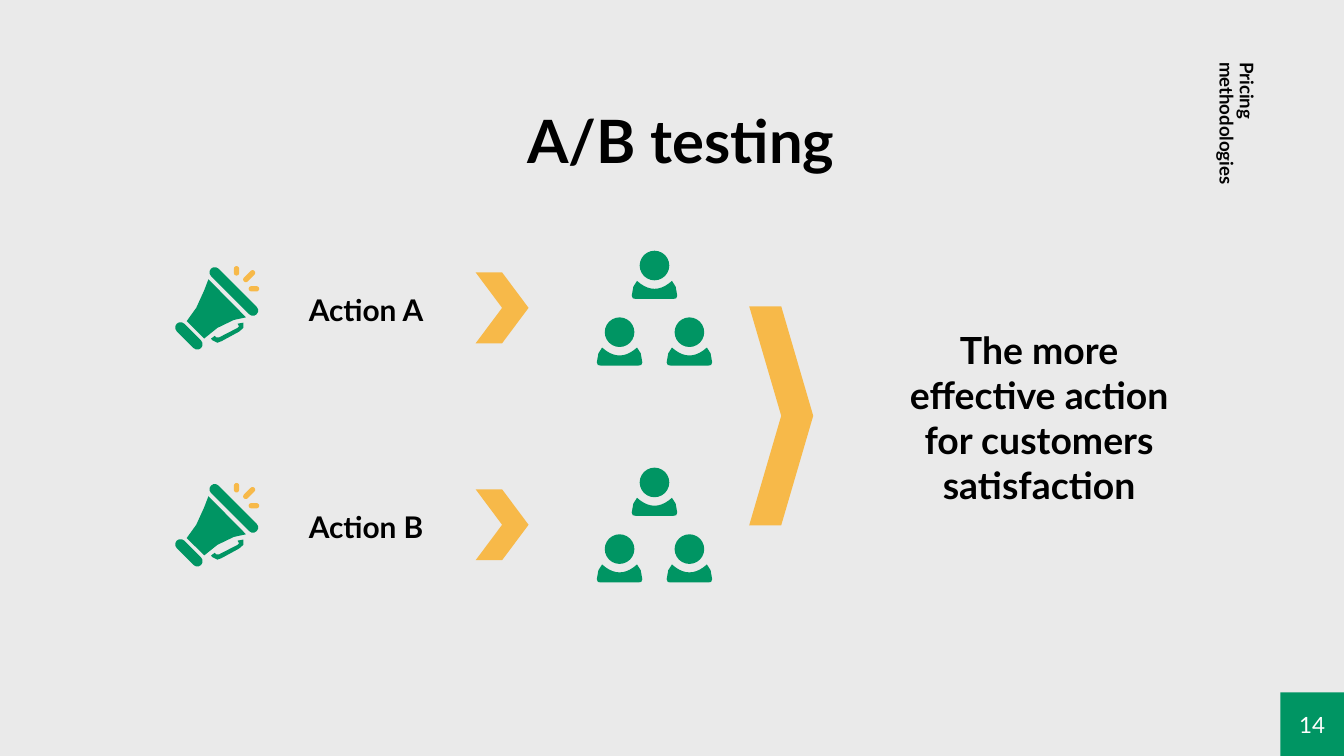
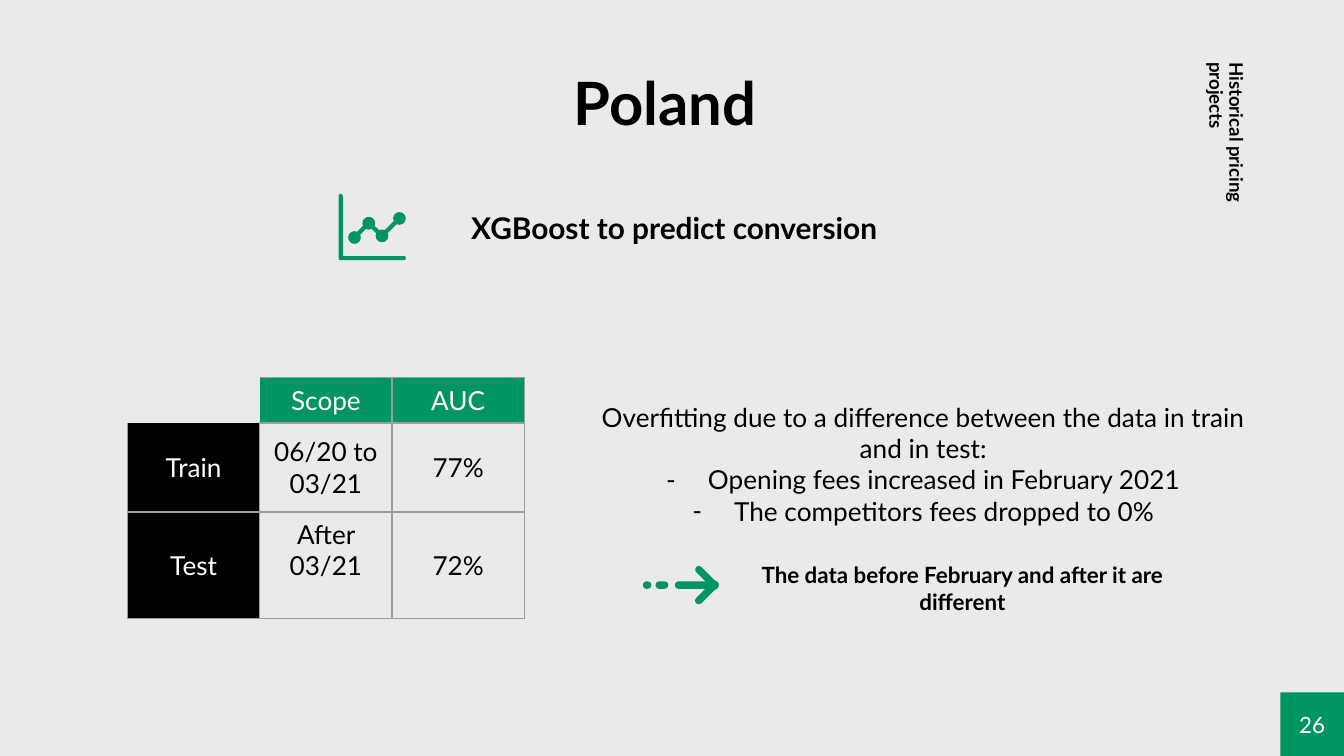
from math import asin, atan2, cos, pi, sin

from lxml.etree import SubElement as Sub
from pptx import Presentation
from pptx.dml.color import RGBColor as Rgb
from pptx.enum.shapes import MSO_SHAPE as Kind
from pptx.enum.text import MSO_ANCHOR as Anchor, MSO_AUTO_SIZE as Auto, PP_ALIGN as Align
from pptx.oxml.ns import qn
from pptx.util import Cm, Pt

WIDE, HIGH = 25.4, 14.29
FONT = "Lato"
INK = {
    "back": "EAEAEA", "green": "009563", "gold": "F7B949", "black": "000000",
    "side": "030303", "white": "FFFFFF", "grid": "9E9E9E",
}
SIDES = ("left", "right", "top", "bottom")

# Text formats: run font, paragraph and frame values
BASE = {"word_wrap": True, "auto_size": Auto.NONE, "vertical_anchor": Anchor.TOP}
FLUSH = {"pad": (0, 0, 0.25, 0.25)}
TITLE = {"size": 32, "bold": True, "pad": (0, 0.25, 0.25, 0.25)}
LABEL = {"size": 16, "bold": True, **FLUSH}
CLAIM = {"size": 20, "bold": True, **FLUSH}
CLOSE = {"size": 12, "bold": True, **FLUSH}
NOTE = {"size": 14, "pad": (0.25, 0.25, 0.13, 0.13)}
SIDE = {"size": 10, "bold": True, "ink": "side", "pad": (0.25,) * 4,
        "para": {"alignment": Align.LEFT, "line_spacing": 0.9}}
BADGE = {"size": 12, "ink": "white", "pad": (0.25,) * 4,
         "frame": {"vertical_anchor": Anchor.MIDDLE}}


def put(item, vals):
    for name, val in vals.items():
        setattr(item, name, val)


def color(name):
    return Rgb.from_string(INK[name])


def dash(para):
    """Turn a paragraph into a dashed list item."""
    props = para._p.get_or_add_pPr()
    for name, val in {"marL": Cm(0.79), "indent": -Cm(0.79)}.items():
        props.set(name, str(val))
    Sub(Sub(props, qn("a:buClr")), qn("a:srgbClr")).set("val", INK["black"])
    Sub(props, qn("a:buFont")).set("typeface", FONT)
    Sub(props, qn("a:buChar")).set("char", "-")


def style(para, line, form):
    run = para.add_run()
    run.text = line
    put(run.font, {"name": FONT, "size": Pt(form["size"]), "bold": form.get("bold", False)})
    run.font.color.rgb = color(form.get("ink", "black"))


def write(frame, lines, form):
    """Fill a text frame; lines that follow the first are list items."""
    put(frame, {**BASE, **form.get("frame", {})})
    put(frame, {f"margin_{s}": Cm(v) for s, v in zip(SIDES, form["pad"])})
    for n, line in enumerate(lines):
        para = frame.add_paragraph() if n else frame.paragraphs[0]
        put(para, {"alignment": Align.CENTER, **form.get("para", {})})
        if n:
            dash(para)
        style(para, line, form)


def text(slide, box, lines, form):
    area = slide.shapes.add_textbox(*map(Cm, box))
    write(area.text_frame, lines, form)
    return area


# Drawing parts
def paint(shape, ink):
    shape.shadow.inherit = False
    shape.fill.solid()
    shape.fill.fore_color.rgb = color(ink)
    shape.line.fill.background()
    return shape


def block(host, kind, box, ink):
    return paint(host.shapes.add_shape(kind, *map(Cm, box)), ink)


def pill(host, at, mid, long, thick, turn, ink="green"):
    """Rounded bar around a centre point, turned by some degrees."""
    box = (at[0] + mid[0] - long / 2, at[1] + mid[1] - thick / 2, long, thick)
    bar = block(host, Kind.ROUNDED_RECTANGLE, box, ink)
    bar.adjustments[0] = 0.5
    bar.rotation = turn


def outline(host, at, dots, ink="green"):
    dots = [(Cm(at[0] + x), Cm(at[1] + y)) for x, y in dots]
    path = host.shapes.build_freeform(*dots[0], scale=1.0)
    path.add_line_segments(dots[1:], close=True)
    paint(path.convert_to_shape(), ink)


def beads(dots, size, half):
    """Outline of round dots joined by bars, walked there and back."""
    tour = dots + dots[-2:0:-1]
    gap, edge = asin(half / size), []
    for n, (x, y) in enumerate(tour):
        back, ahead = (atan2(v - y, u - x) for u, v in
                       (tour[n - 1], tour[(n + 1) % len(tour)]))
        sweep = ((ahead - back) % (2 * pi) or 2 * pi) - 2 * gap
        turns = [back + gap + sweep * k / 12 for k in range(13)]
        edge += [(x + size * cos(t), y + size * sin(t)) for t in turns]
    return edge


# Icons
HORN = [(0.64, 0.25), (0.56, 0.46), (0.41, 0.79), (0.23, 1.04),
        (0.56, 1.37), (0.81, 1.17), (1.12, 1.02), (1.35, 0.97)]
GRIP = [(1.3, 1.07), (1.19, 1.09), (1.22, 1.14), (1.19, 1.17), (0.84, 1.35),
        (0.79, 1.35), (0.76, 1.32), (0.69, 1.37), (0.71, 1.4), (0.81, 1.45),
        (0.89, 1.42), (1.22, 1.24), (1.3, 1.17)]
BUST = [(0.03, 0.11), (0, 0.28), (0.02, 0.33), (0.07, 0.34),
        (0.79, 0.34), (0.84, 0.33), (0.86, 0.28), (0.83, 0.11)]
NECK = [(0.43 + 0.033 * n, 0.15 * (1 - (n / 10) ** 2)) for n in range(10, -11, -2)]
AXES = [(0.04, 0), (0.01, 0.02), (0, 0.04), (0, 1.22), (0.01, 1.25), (0.04, 1.26),
        (1.24, 1.26), (1.26, 1.25), (1.27, 1.22), (1.26, 1.19), (1.24, 1.18),
        (0.08, 1.18), (0.08, 0.04), (0.07, 0.02)]
TREND = [(0.3, 0.83), (0.57, 0.56), (0.82, 0.8), (1.15, 0.47)]


def horn(slide, at):
    icon = slide.shapes.add_group_shape()
    outline(icon, at, HORN)
    outline(icon, at, GRIP)
    pill(icon, at, (1.12, 0.48), 1.22, 0.2, 45)
    pill(icon, at, (0.27, 1.32), 0.65, 0.2, 45)
    for mid, long, turn in (((1.17, 0.09), 0.18, 90), ((1.41, 0.19), 0.28, -45),
                            ((1.5, 0.43), 0.2, 0)):
        pill(icon, at, mid, long, 0.1, turn, "gold")


def crowd(slide, at):
    icon = slide.shapes.add_group_shape()
    for dx, dy in ((0.66, 0), (0, 1.26), (1.32, 1.26)):
        x, y = at[0] + dx, at[1] + dy
        block(icon, Kind.OVAL, (x + 0.15, y, 0.56, 0.56), "green")
        outline(icon, (x, y + 0.57), BUST + NECK)


def graph(slide, at):
    icon = slide.shapes.add_group_shape()
    outline(icon, at, AXES)
    outline(icon, at, beads(TREND, 0.12, 0.04))


def arrow(slide, at):
    icon = slide.shapes.add_group_shape()
    for mid, long, turn in (((0.09, 0.36), 0.16, 0), ((0.37, 0.36), 0.24, 0),
                            ((1.02, 0.36), 0.81, 0), ((1.22, 0.22), 0.57, 45),
                            ((1.22, 0.5), 0.57, -45)):
        pill(icon, at, mid, long, 0.14, turn)


# Shared slide frame: title, page badge, side heading
def start(deck, title, box, page, topic, edge):
    slide = deck.slides.add_slide(deck.slide_layouts[5])
    head = slide.shapes.title
    put(head, dict(zip(("left", "top", "width", "height"), map(Cm, box))))
    write(head.text_frame, [title], TITLE)
    size = 1.2
    badge = block(slide, Kind.RECTANGLE, (WIDE - size, HIGH - size, size, size), "green")
    write(badge.text_frame, [page], BADGE)
    text(slide, edge, [topic], SIDE).rotation = 90
    return slide


# One tested action: horn, label, chevron, audience
def action(slide, x, y, name):
    text(slide, (x - 0.57, y + 0.54, 8.38, 1.12), [name], LABEL)
    horn(slide, (x, y + 0.31))
    block(slide, Kind.CHEVRON, (x + 5.69, y + 0.43, 1, 1.34), "gold")
    crowd(slide, (x + 7.98, y + 0.02))


# Score table
def rule(cell, side, shown):
    line = Sub(cell._tc.get_or_add_tcPr(), qn(f"a:ln{side}"))
    if shown:
        line.set("w", str(Pt(0.75)))
        Sub(Sub(line, qn("a:solidFill")), qn("a:srgbClr")).set("val", INK["grid"])
    else:
        line.set("w", "0")
        Sub(line, qn("a:noFill"))


def scores(slide, x, y):
    rows = [("", "Scope", "AUC"), ("Train", "06/20 to 03/21", "77%"),
            ("Test", "After 03/21", "72%")]
    highs, wide = (0.84, 1.68, 2.02), 2.5
    bare = {(0, 0): "LRTB", (0, 1): "L", (1, 0): "T"}
    grid = slide.shapes.add_table(3, 3, *map(Cm, (x, y, 3 * wide, sum(highs)))).table
    put(grid, {"first_row": False, "horz_banding": False})
    for n, high in enumerate(highs):
        grid.columns[n].width = Cm(wide)
        grid.rows[n].height = Cm(high)
    for r, row in enumerate(rows):
        for c, word in enumerate(row):
            cell = grid.cell(r, c)
            cell.vertical_anchor = Anchor.MIDDLE
            for side in "LRTB":
                rule(cell, side, side not in bare.get((r, c), ""))
            fill = "" if not word else "green" if r == 0 else "black" if c == 0 else ""
            if fill:
                cell.fill.solid()
                cell.fill.fore_color.rgb = color(fill)
            else:
                cell.fill.background()
            para = cell.text_frame.paragraphs[0]
            para.alignment = Align.CENTER
            if word:
                style(para, word, {"size": 14, "ink": "white" if fill else "black"})
            else:
                Sub(para._p, qn("a:endParaRPr")).set("sz", "1400")
    grid.cell(2, 1).margin_bottom = Cm(0.7)


# Slides
def testing(deck):
    slide = start(deck, "A/B testing", (2.29, 1.72, 21.41, 1.6), "14",
                  "Pricing methodologies", (21.39, 1.84, 3.51, 1.68))
    for n, name in enumerate(("Action A", "Action B")):
        action(slide, 3.3, 4.72 + 4.1 * n, name)
    block(slide, Kind.CHEVRON, (14.16, 5.79, 1.21, 4.14), "gold")
    text(slide, (16.87, 5.94, 5.54, 3.05),
         ["The more effective action for customers satisfaction"], CLAIM)


def poland(deck):
    slide = start(deck, "Poland", (7.8, 0.99, 9.8, 1.6), "26",
                  "Historical pricing projects", (21.4, 2.05, 3.51, 1.27))
    graph(slide, (6.4, 3.66))
    text(slide, (6.98, 3.71, 11.53, 1.17), ["XGBoost to predict conversion"], LABEL)
    scores(slide, 2.41, 7.14)
    text(slide, (11.1, 7.45, 12.7, 3.25), [
        "Overfitting due to a difference between the data in train and in test:",
        "Opening fees increased in February 2021",
        "The competitors fees dropped to 0%"], NOTE)
    arrow(slide, (12.14, 10.7))
    text(slide, (13.67, 10.36, 9.04, 1.42),
         ["The data before February and after it are different"], CLOSE)


def main():
    deck = Presentation()
    put(deck, {"slide_width": Cm(WIDE), "slide_height": Cm(HIGH)})
    back = deck.slide_master.background.fill
    back.solid()
    back.fore_color.rgb = color("back")
    testing(deck)
    poland(deck)
    deck.save("out.pptx")


if __name__ == "__main__":
    main()
